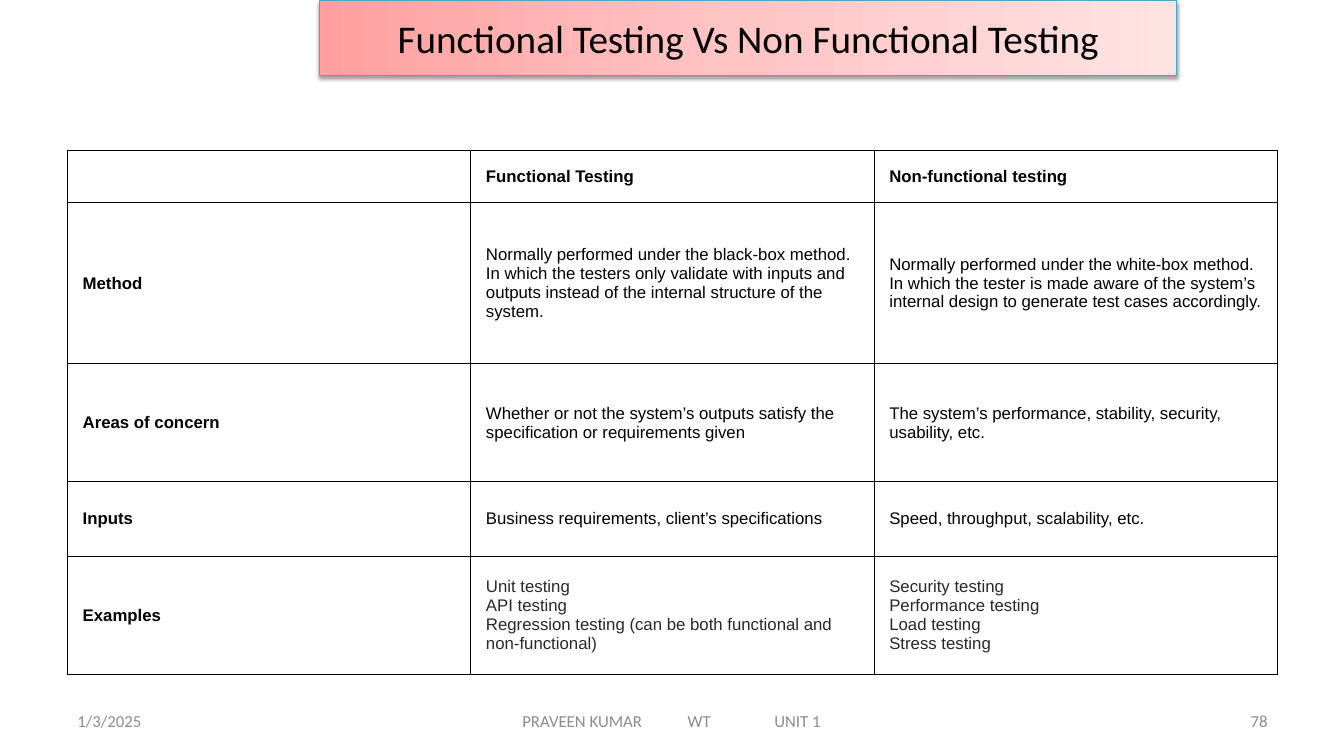
from lxml.etree import SubElement
from pptx import Presentation
from pptx.dml.color import RGBColor
from pptx.enum.shapes import MSO_SHAPE
from pptx.enum.text import MSO_ANCHOR, PP_ALIGN
from pptx.oxml.ns import qn
from pptx.util import Inches, Pt

COLORS = {
    "text": "000000", "example": "282828", "footer": "8C8C8C",
    "border": "000000", "title_line": "46AAC5", "shadow": "000000",
    "title_start": "FFA0A0", "title_middle": "FFC5C5", "title_end": "FFE3E3",
}


def style_font(para, name, size, color, bold=False):
    para.font.name = name
    para.font.size = Pt(size)
    para.font.bold = bold
    para.font.color.rgb = RGBColor.from_string(COLORS[color])


def add_node(parent, tag, **attributes):
    return SubElement(parent, qn(tag), {key: str(value) for key, value in attributes.items()})


deck = Presentation()
deck.slide_width = Inches(13.33)
deck.slide_height = Inches(7.5)
page = deck.slides.add_slide(deck.slide_layouts[6])

# Footer: date, course and page number
footers = [
    (0.67, 3.11, "1/3/2025", PP_ALIGN.LEFT),
    (4.56, 4.22, "PRAVEEN KUMAR\tWT\tUNIT 1", PP_ALIGN.LEFT),
    (9.56, 3.11, "78", PP_ALIGN.RIGHT),
]
for left, width, text, align in footers:
    box = page.shapes.add_textbox(Inches(left), Inches(6.95), Inches(width), Inches(0.4))
    frame = box.text_frame
    frame.word_wrap = True
    frame.vertical_anchor = MSO_ANCHOR.MIDDLE
    frame.text = text
    para = frame.paragraphs[0]
    para.alignment = align
    if "\t" in text:
        frame.margin_left = Inches(0.62)
        tabs = add_node(para._p.get_or_add_pPr(), "a:tabLst")
        for stop in (1.64, 2.5):
            add_node(tabs, "a:tab", pos=Inches(stop), algn="l")
    style_font(para, "Calibri", 12, "footer")

# Title banner with gradient and soft shadow
banner = page.shapes.add_shape(
    MSO_SHAPE.RECTANGLE, Inches(3.17), Inches(0), Inches(8.5), Inches(0.75))
banner.fill.gradient()
banner.fill.gradient_angle = 0
stops = next(banner._element.iter(qn("a:gsLst")))
stops.clear()
for percent, color in ((0, "title_start"), (50, "title_middle"), (100, "title_end")):
    stop = add_node(stops, "a:gs", pos=percent * 1000)
    add_node(stop, "a:srgbClr", val=COLORS[color])
banner.line.color.rgb = RGBColor.from_string(COLORS["title_line"])
banner.line.width = Pt(0.75)
banner.shadow.inherit = False
effects = next(banner._element.iter(qn("a:effectLst")))
shadow = add_node(effects, "a:outerShdw", blurRad=Pt(3.1), dist=Pt(1.6),
                  dir=90 * 60000, rotWithShape=0)
shade = add_node(shadow, "a:srgbClr", val=COLORS["shadow"])
add_node(shade, "a:alpha", val=38000)
banner.text_frame.vertical_anchor = MSO_ANCHOR.MIDDLE
banner.text_frame.text = "Functional Testing Vs Non Functional Testing"
title = banner.text_frame.paragraphs[0]
title.alignment = PP_ALIGN.CENTER
style_font(title, "Calibri", 28, "text")

# Comparison table: row height, then the three cell texts
rows = [
    (0.52, "", "Functional Testing", "Non-functional testing"),
    (1.6, "Method",
     "Normally performed under the black-box method. In which the testers only validate "
     "with inputs and outputs instead of the internal structure of the system.",
     "Normally performed under the white-box method. In which the tester is made aware of "
     "the system’s internal design to generate test cases accordingly."),
    (1.17, "Areas of concern",
     "Whether or not the system’s outputs satisfy the specification or requirements given",
     "The system’s performance, stability, security, usability, etc."),
    (0.74, "Inputs", "Business requirements, client’s specifications",
     "Speed, throughput, scalability, etc."),
    (1.17, "Examples",
     "Unit testing\nAPI testing\n"
     "Regression testing (can be both functional and non-functional)",
     "Security testing\nPerformance testing\nLoad testing\nStress testing"),
]
table = page.shapes.add_table(
    len(rows), 3, Inches(0.67), Inches(1.49), Inches(12), Inches(5.2)).table
table.first_row = False
table.horz_banding = False
for column in table.columns:
    column.width = Inches(4)

for row_index, (height, *texts) in enumerate(rows):
    table.rows[row_index].height = Inches(height)
    for column_index, text in enumerate(texts):
        cell = table.cell(row_index, column_index)
        cell.vertical_anchor = MSO_ANCHOR.MIDDLE
        if text:
            cell.margin_left = cell.margin_right = Inches(0.15)
            cell.margin_top = cell.margin_bottom = Inches(0.15)
        cell.text = text
        heading = row_index == 0 or column_index == 0
        is_example = row_index == len(rows) - 1 and not heading
        for para in cell.text_frame.paragraphs:
            style_font(para, "Arial", 12, "example" if is_example else "text", heading)
        for side in ("a:lnL", "a:lnR", "a:lnT", "a:lnB"):
            border = add_node(cell._tc.get_or_add_tcPr(), side, w=Pt(1))
            fill = add_node(border, "a:solidFill")
            add_node(fill, "a:srgbClr", val=COLORS["border"])
        cell.fill.background()

deck.save("out.pptx")
